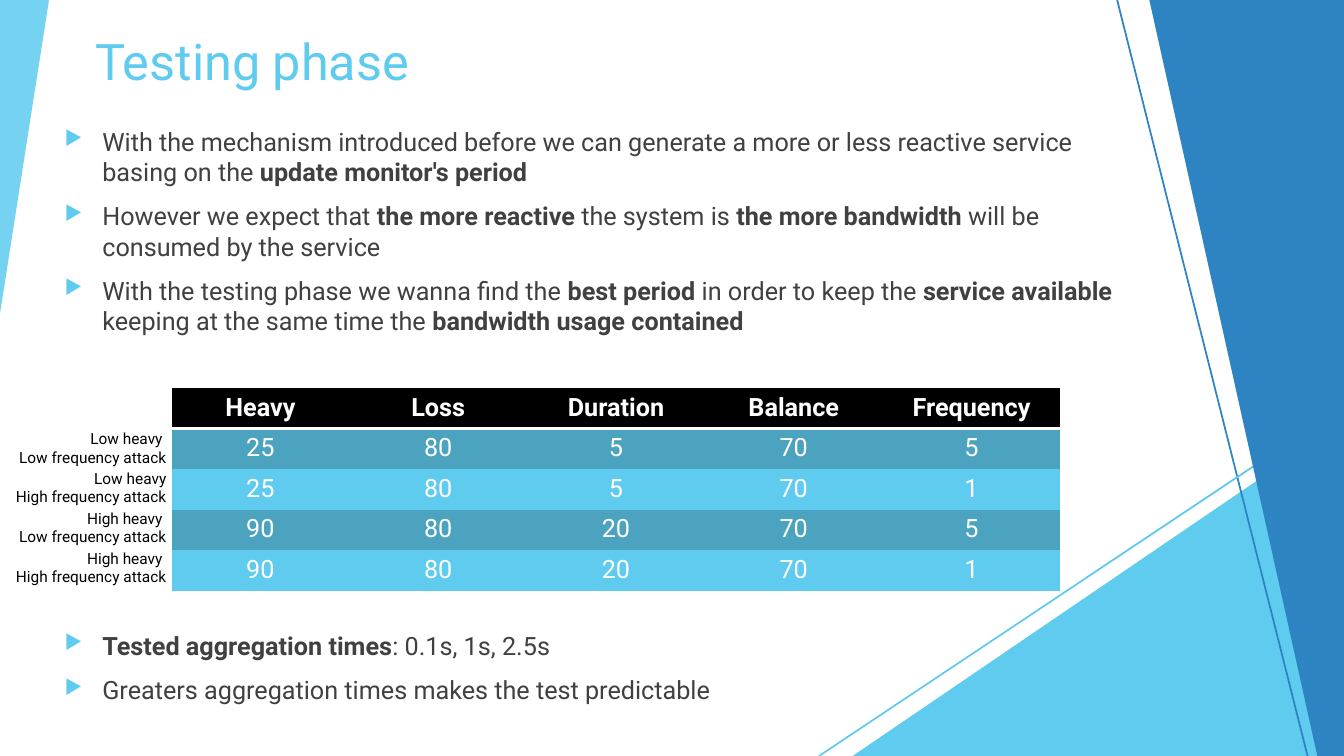
from dataclasses import dataclass

from lxml.etree import SubElement
from pptx import Presentation
from pptx.dml.color import RGBColor
from pptx.enum.shapes import MSO_CONNECTOR, MSO_SHAPE
from pptx.enum.text import PP_ALIGN
from pptx.oxml import parse_xml
from pptx.oxml.ns import nsdecls, qn
from pptx.util import Pt


@dataclass(frozen=True)
class Theme:
    font: str = "Roboto"
    sky: str = "5FCBEF"
    teal: str = "4CA3BF"
    blue: str = "2E83C3"
    text: str = "404040"
    black: str = "000000"
    white: str = "FFFFFF"
    title_size: float = 36
    body_size: float = 18
    label_size: float = 11


T = Theme()
WIDTH, HEIGHT = 960, 540
NO_GRID_STYLE = "{2D5ABB26-0587-4C30-8999-92F81FD0307C}"

FINDINGS = [
    "With the mechanism introduced before we can generate a more or less reactive service "
    "basing on the *update monitor's period *",
    "However we expect that *the more reactive *the system is *the more bandwidth *"
    "will be consumed by the service",
    "With the testing phase we wanna find the *best period *in order to keep the "
    "*service available *keeping at the same time the *bandwidth usage contained*",
]
TIMES = [
    "*Tested aggregation times*: 0.1s, 1s, 2.5s",
    "Greaters aggregation times makes the test predictable",
]
ATTACKS = [
    ["Heavy", "Loss", "Duration", "Balance", "Frequency"],
    ["25", "80", "5", "70", "5"],
    ["25", "80", "5", "70", "1"],
    ["90", "80", "20", "70", "5"],
    ["90", "80", "20", "70", "1"],
]
LABELS = [
    ["Low heavy ", "Low frequency attack"],
    ["Low heavy", "High frequency attack"],
    ["High heavy ", "Low frequency attack"],
    ["High heavy ", "High frequency attack"],
]


def rgb(color):
    return RGBColor.from_string(color)


def style(font, size, color, bold=False):
    font.name, font.size, font.bold = T.font, Pt(size), bold
    font.color.rgb = rgb(color)


def add_text_frame(s, x, y, w, h):
    tf = s.shapes.add_textbox(Pt(x), Pt(y), Pt(w), Pt(h)).text_frame
    tf.word_wrap = True
    return tf


def add_lines(s, box, lines, size, color, align=PP_ALIGN.LEFT):
    tf = add_text_frame(s, *box)
    tf.text = "\n".join(lines)
    for p in tf.paragraphs:
        p.alignment = align
        for r in p.runs:
            style(r.font, size, color)


def set_bullet(p, indent=27):
    pPr = p._p.get_or_add_pPr()
    pPr.set("marL", str(Pt(indent)))
    pPr.set("indent", str(-Pt(indent)))
    color = SubElement(pPr, qn("a:buClr"))
    SubElement(color, qn("a:srgbClr"), val=T.sky)
    SubElement(pPr, qn("a:buSzPct"), val="80000")
    SubElement(pPr, qn("a:buChar"), char="▶")


def add_bullets(s, box, items):
    """Write bulleted items; text between asterisks is bold."""
    tf = add_text_frame(s, *box)
    for i, item in enumerate(items):
        p = tf.paragraphs[0] if i == 0 else tf.add_paragraph()
        set_bullet(p)
        if i:
            p.space_before = Pt(10)
        for j, part in enumerate(item.split("*")):
            if part:
                r = p.add_run()
                r.text = part
                style(r.font, T.body_size, T.text, bold=j % 2 == 1)


def paint(sp, color):
    sp.shadow.inherit = False
    sp.fill.solid()
    sp.fill.fore_color.rgb = rgb(color)
    sp.line.fill.background()


def add_corner(s, x, y, w, h):
    """Add a triangle whose right angle is at the bottom right."""
    sp = s.shapes.add_shape(MSO_SHAPE.ISOSCELES_TRIANGLE, Pt(x), Pt(y), Pt(w), Pt(h))
    sp.adjustments[0] = 1
    paint(sp, T.sky)
    return sp


def add_line(s, x1, y1, x2, y2, color):
    line = s.shapes.add_connector(MSO_CONNECTOR.STRAIGHT, Pt(x1), Pt(y1), Pt(x2), Pt(y2))
    line.line.color.rgb = rgb(color)
    line.line.width = Pt(1.25)
    SubElement(line._element.spPr, qn("a:effectLst"))


def add_decoration(s, w, h):
    left = add_corner(s, 0, 0, 35, 224)
    left.rotation = 180
    tint = left.fill._xPr.find(qn("a:solidFill"))[0]
    SubElement(tint, qn("a:alpha"), val="85000")

    add_corner(s, w - 351, h - 239, 351, 239)
    add_line(s, w - 162, 0, w - 26, h, T.blue)
    add_line(s, w, h - 250, w - 375, h, T.sky)

    band = s.shapes.build_freeform(Pt(w - 139), 0)
    band.add_line_segments([(Pt(w), 0), (Pt(w), Pt(h)), (Pt(w - 19), Pt(h))])
    paint(band.convert_to_shape(), T.blue)


def add_attack_table(s, x, y, w, h):
    frame = s.shapes.add_table(len(ATTACKS), len(ATTACKS[0]), Pt(x), Pt(y), Pt(w), Pt(h))
    table = frame.table
    table._tbl.tblPr.find(qn("a:tableStyleId")).text = NO_GRID_STYLE
    for i, values in enumerate(ATTACKS):
        fill = T.black if i == 0 else T.teal if i % 2 else T.sky
        for j, value in enumerate(values):
            cell = table.cell(i, j)
            cell.fill.solid()
            cell.fill.fore_color.rgb = rgb(fill)
            cell.text = value
            p = cell.text_frame.paragraphs[0]
            p.alignment = PP_ALIGN.CENTER
            style(p.runs[0].font, T.body_size, T.white, bold=i == 0)
            if i == 0:
                border = parse_xml(
                    f'<a:lnB {nsdecls("a")} w="{Pt(2)}"><a:solidFill>'
                    f'<a:srgbClr val="{T.white}"/></a:solidFill></a:lnB>')
                cell._tc.get_or_add_tcPr().insert(0, border)


def add_row_labels(s, right, y, pitch):
    w = 142
    for i, lines in enumerate(LABELS):
        box = (right - w, y + i * pitch, w, 34)
        add_lines(s, box, lines, T.label_size, T.black, PP_ALIGN.RIGHT)


def add_testing_slide(prs):
    s = prs.slides.add_slide(prs.slide_layouts[6])
    add_lines(s, (61, 18, 677, 104), ["Testing phase"], T.title_size, T.sky)
    add_decoration(s, WIDTH, HEIGHT)
    add_bullets(s, (39, 86.5, 782, 193), FINDINGS)
    add_attack_table(s, 122.5, 277, 635, 145)
    add_bullets(s, (39, 446.5, 782, 68), TIMES)
    add_row_labels(s, 126, 303, 28.5)


def main():
    prs = Presentation()
    prs.slide_width, prs.slide_height = Pt(WIDTH), Pt(HEIGHT)
    add_testing_slide(prs)
    prs.save("out.pptx")


if __name__ == "__main__":
    main()
